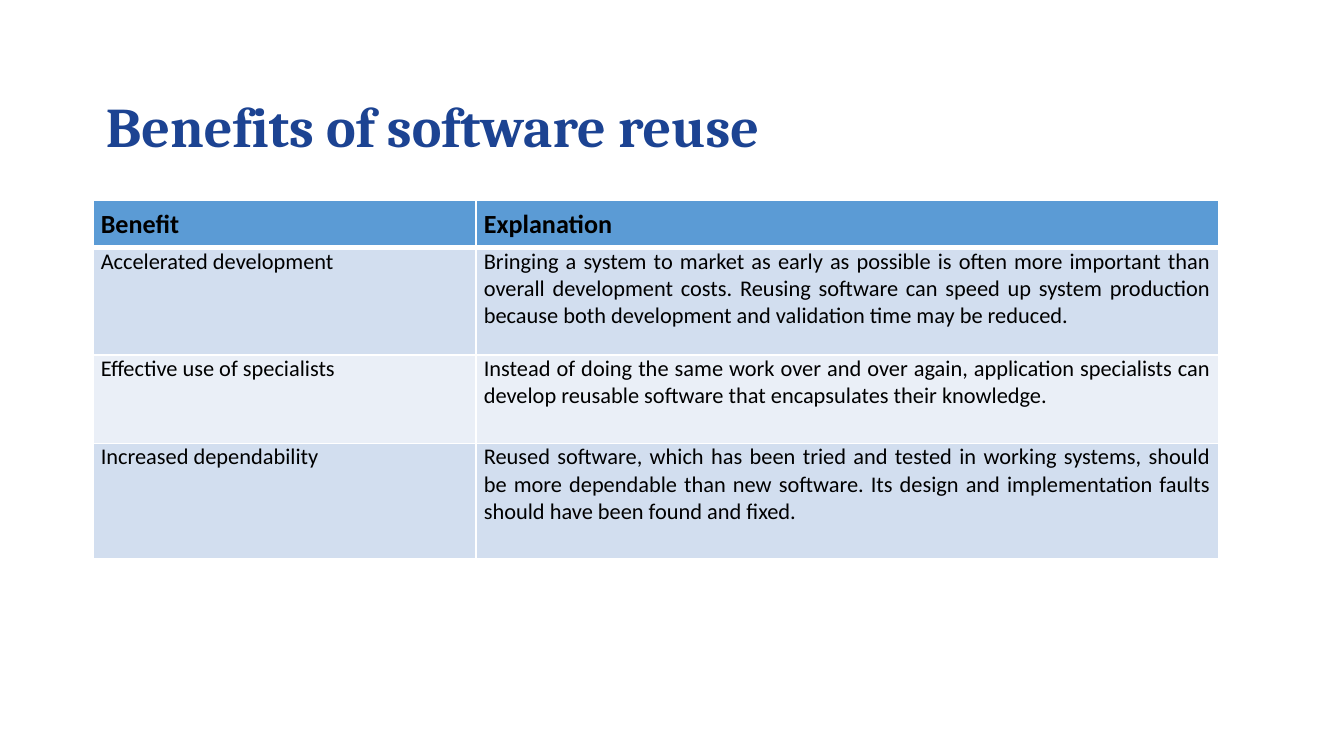
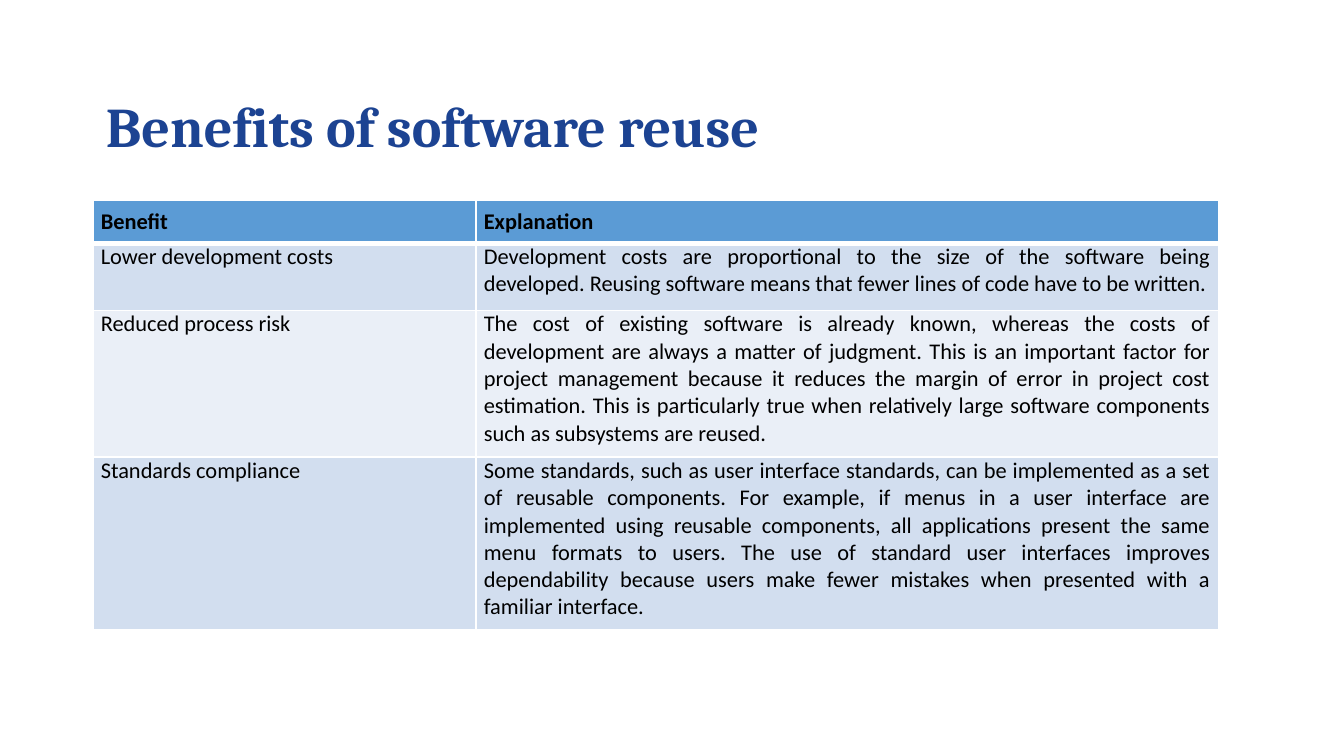
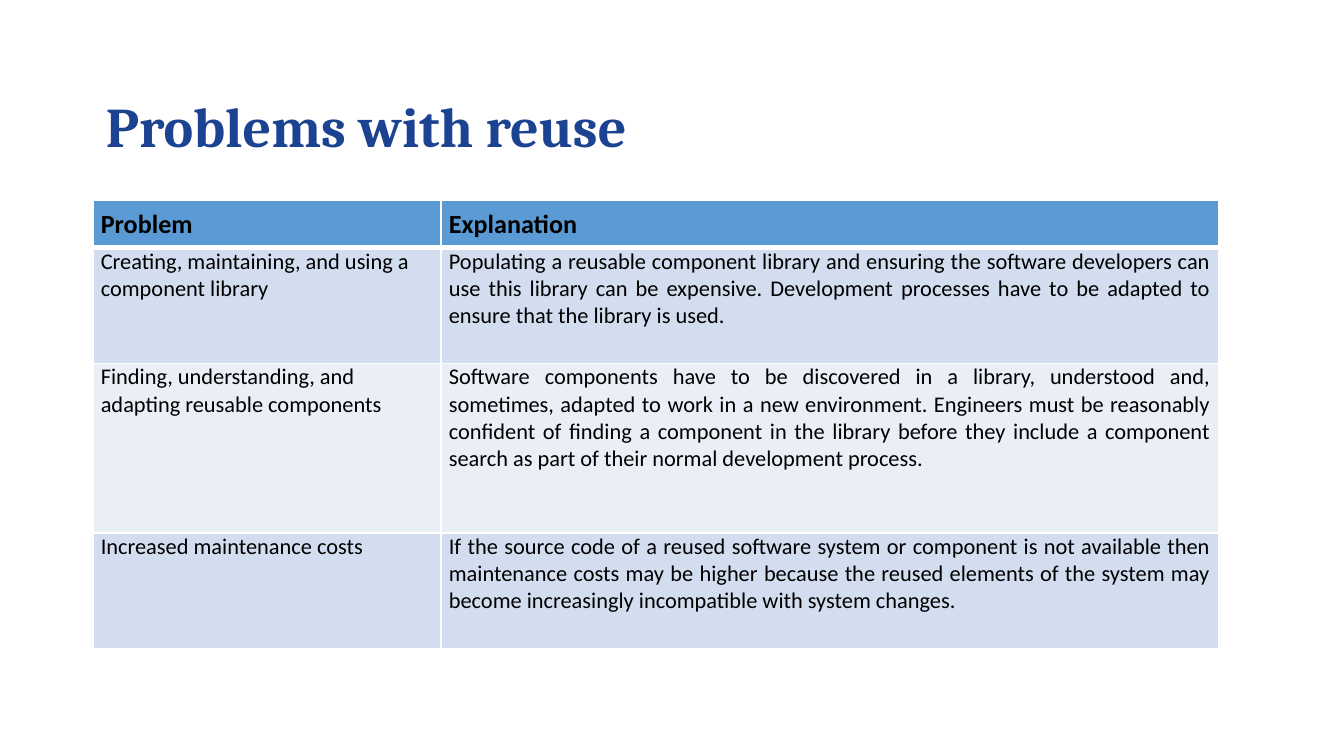
from dataclasses import dataclass

from lxml import etree
from pptx import Presentation
from pptx.dml.color import RGBColor
from pptx.enum.text import MSO_ANCHOR, PP_ALIGN
from pptx.oxml.ns import qn
from pptx.util import Inches, Pt

MIDDLE = MSO_ANCHOR.MIDDLE
LEFT = PP_ALIGN.LEFT
JUSTIFY = PP_ALIGN.JUSTIFY
BLANK_LAYOUT = 6


@dataclass(frozen=True)
class Theme:
    """Colours, fonts and type sizes shared by the slides."""

    title_color: str = "1C4392"
    text_color: str = "000000"
    header_fill: str = "5B9BD5"
    band_fills: tuple = ("D2DEEF", "EAEFF7")
    border_color: str = "FFFFFF"
    title_font: str = "Cambria"
    body_font: str = "Calibri"
    title_size: int = 30
    header_size: int = 14
    body_size: int = 12
    thin_border: int = 1
    thick_border: int = 3
    cell_inset: float = 0.06


class SlideBuilder:
    """Builds slides in one style, with lengths in percent of the slide's size."""

    left, width = 6.9, 83.8
    title_top, title_height = 11, 12.3
    table_top = 26.5

    def __init__(self, theme):
        """Start a widescreen deck in the given theme."""
        self.theme = theme
        self.deck = Presentation()
        self.deck.slide_width = Inches(10)
        self.deck.slide_height = self.deck.slide_width * 9 // 16
        self.slide = None

    def across(self, percent):
        """Turn a share of the slide's width into a length."""
        return round(self.deck.slide_width * percent / 100)

    def down(self, percent):
        """Turn a share of the slide's height into a length."""
        return round(self.deck.slide_height * percent / 100)

    def add_slide(self, title):
        """Open a new blank slide under a title."""
        layout = self.deck.slide_layouts[BLANK_LAYOUT]
        self.slide = self.deck.slides.add_slide(layout)
        self.add_title(title)

    def format_text(self, para, font_name, size, color, bold):
        """Set the font of every run in a paragraph."""
        for span in para.runs:
            span.font.name = font_name
            span.font.size = Pt(size)
            span.font.bold = bold
            span.font.color.rgb = RGBColor.from_string(color)

    def add_title(self, text):
        """Place the title above the table."""
        box = self.slide.shapes.add_textbox(
            self.across(self.left), self.down(self.title_top),
            self.across(self.width), self.down(self.title_height))
        frame = box.text_frame
        frame.word_wrap = True
        frame.vertical_anchor = MIDDLE
        frame.text = text
        para = frame.paragraphs[0]
        para.line_spacing = 0.9
        theme = self.theme
        self.format_text(para, theme.title_font, theme.title_size, theme.title_color, True)

    def add_border(self, cell, side, points):
        """Draw one side of a cell's border."""
        properties = cell._tc.get_or_add_tcPr()
        line = etree.SubElement(properties, qn(f"a:ln{side}"), w=str(Pt(points)))
        fill = etree.SubElement(line, qn("a:solidFill"))
        etree.SubElement(fill, qn("a:srgbClr"), val=self.theme.border_color)

    def style_cell(self, cell, text, row, header_size, align):
        """Fill a cell with text, borders and the colour of its row."""
        theme = self.theme
        is_header = row == 0
        inset = Inches(theme.cell_inset)
        cell.margin_left = cell.margin_right = cell.margin_bottom = inset
        cell.margin_top = inset if is_header else 0
        thick_side = {0: "B", 1: "T"}.get(row)
        for side in "LRTB":
            self.add_border(
                cell, side, theme.thick_border if side == thick_side else theme.thin_border)
        color = theme.header_fill if is_header else theme.band_fills[(row - 1) % 2]
        cell.fill.solid()
        cell.fill.fore_color.rgb = RGBColor.from_string(color)
        cell.text_frame.text = text
        para = cell.text_frame.paragraphs[0]
        para.alignment = align
        size = header_size if is_header else theme.body_size
        self.format_text(para, theme.body_font, size, theme.text_color, is_header)

    def add_table(self, rows, first_width, heights, header_size, label_align=JUSTIFY):
        """Add a two-column table of labels and explanations."""
        frame = self.slide.shapes.add_table(
            len(rows), 2, self.across(self.left), self.down(self.table_top),
            self.across(self.width), self.down(sum(heights)))
        table = frame.table
        table.horz_banding = False
        for column, width in zip(table.columns, (first_width, self.width - first_width)):
            column.width = self.across(width)
        for index, (texts, height) in enumerate(zip(rows, heights)):
            table.rows[index].height = self.down(height)
            aligns = (JUSTIFY if index == 0 else label_align, JUSTIFY)
            for column, (text, align) in enumerate(zip(texts, aligns)):
                self.style_cell(table.cell(index, column), text, index, header_size, align)


BENEFITS = [
    ("Benefit", "Explanation"),
    ("Accelerated development",
     "Bringing a system to market as early as possible is often more important than "
     "overall development costs. Reusing software can speed up system production "
     "because both development and validation time may be reduced."),
    ("Effective use of specialists",
     "Instead of doing the same work over and over again, application specialists can "
     "develop reusable software that encapsulates their knowledge."),
    ("Increased dependability",
     "Reused software, which has been tried and tested in working systems, should "
     "be more dependable than new software. Its design and implementation faults "
     "should have been found and fixed."),
]

MORE_BENEFITS = [
    BENEFITS[0],
    ("Lower development costs",
     "Development costs are proportional to the size of the software being "
     "developed. Reusing software means that fewer lines of code have to be written."),
    ("Reduced process risk",
     "The cost of existing software is already known, whereas the costs of "
     "development are always a matter of judgment. This is an important factor for "
     "project management because it reduces the margin of error in project cost "
     "estimation. This is particularly true when relatively large software components "
     "such as subsystems are reused."),
    ("Standards compliance",
     "Some standards, such as user interface standards, can be implemented as a set "
     "of reusable components. For example, if menus in a user interface are "
     "implemented using reusable components, all applications present the same "
     "menu formats to users. The use of standard user interfaces improves "
     "dependability because users make fewer mistakes when presented with a "
     "familiar interface."),
]

PROBLEMS = [
    ("Problem", "Explanation"),
    ("Creating, maintaining, and using a component library",
     "Populating a reusable component library and ensuring the software developers can "
     "use this library can be expensive. Development processes have to be adapted to "
     "ensure that the library is used."),
    ("Finding, understanding, and adapting reusable components",
     "Software components have to be discovered in a library, understood and, "
     "sometimes, adapted to work in a new environment. Engineers must be reasonably "
     "confident of finding a component in the library before they include a component "
     "search as part of their normal development process."),
    ("Increased maintenance costs",
     "If the source code of a reused software system or component is not available then "
     "maintenance costs may be higher because the reused elements of the system may "
     "become increasingly incompatible with system changes."),
]


def main():
    """Build the three slides and save the deck."""
    theme = Theme()
    builder = SlideBuilder(theme)
    builder.add_slide("Benefits of software reuse")
    builder.add_table(BENEFITS, 28.5, (6.2, 14.2, 11.7, 15.3), theme.header_size)
    builder.add_slide("Benefits of software reuse")
    builder.add_table(MORE_BENEFITS, 28.5, (5.5, 8.9, 19.4, 22.8), theme.body_size)
    builder.add_slide("Problems with reuse")
    builder.add_table(PROBLEMS, 25.9, (6.2, 15.3, 22.4, 15.3), theme.header_size, LEFT)
    builder.deck.save("out.pptx")


if __name__ == "__main__":
    main()
